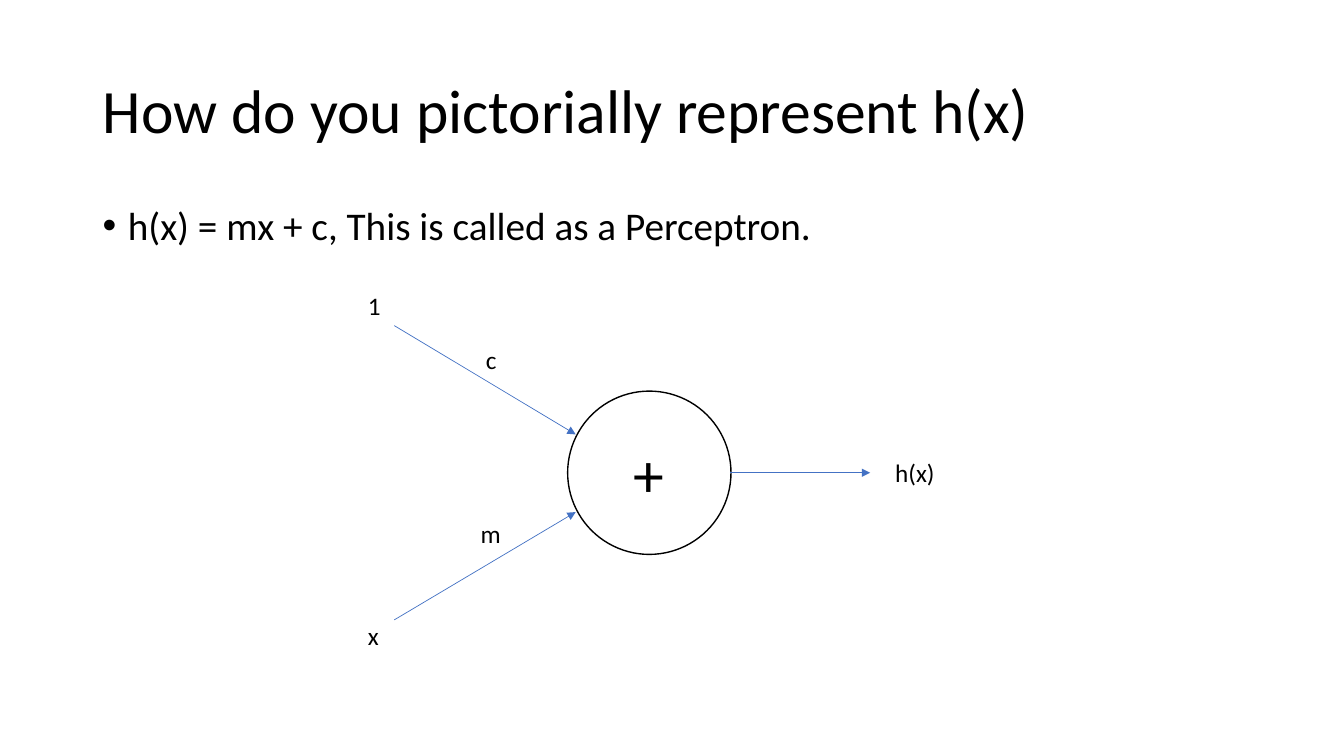
from lxml import etree
from pptx import Presentation
from pptx.dml.color import RGBColor
from pptx.enum.shapes import MSO_CONNECTOR, MSO_SHAPE
from pptx.enum.text import MSO_ANCHOR, MSO_AUTO_SIZE, PP_ALIGN
from pptx.oxml.ns import qn
from pptx.util import Inches, Pt

STRAIGHT = MSO_CONNECTOR.STRAIGHT
OVAL = MSO_SHAPE.OVAL
MIDDLE = MSO_ANCHOR.MIDDLE
TOP = MSO_ANCHOR.TOP
NO_AUTOFIT = MSO_AUTO_SIZE.NONE
LEFT = PP_ALIGN.LEFT
CENTER = PP_ALIGN.CENTER

FONT = "Calibri"
COLORS = {"ink": "000000", "paper": "FFFFFF", "arrow": "4472C4"}


def color(name):
    return RGBColor.from_string(COLORS[name])


class PerceptronSlide:
    def __init__(self, deck):
        self.slide = deck.slides.add_slide(deck.slide_layouts[5])
        self.shapes = self.slide.shapes

    def set_text(self, shape, text, size, anchor=TOP, align=LEFT, spacing=1.0):
        frame = shape.text_frame
        frame.word_wrap = True
        frame.auto_size = NO_AUTOFIT
        frame.vertical_anchor = anchor
        paragraph = frame.paragraphs[0]
        paragraph.text = text
        paragraph.alignment = align
        paragraph.line_spacing = spacing
        paragraph.font.name = FONT
        paragraph.font.size = Pt(size)
        paragraph.font.color.rgb = color("ink")

    def title(self, text, left, top, width, height):
        heading = self.shapes.title
        heading.left, heading.top = Inches(left), Inches(top)
        heading.width, heading.height = Inches(width), Inches(height)
        self.set_text(heading, text, 44, anchor=MIDDLE, spacing=0.9)

    def bullet(self, text, left, top, width, height):
        body = self.shapes.add_textbox(
            Inches(left), Inches(top), Inches(width), Inches(height))
        properties = body.text_frame.paragraphs[0]._p.get_or_add_pPr()
        properties.set("marL", str(Inches(0.25)))
        properties.set("indent", str(Inches(-0.25)))
        etree.SubElement(properties, qn("a:buFont"), typeface="Arial")
        etree.SubElement(properties, qn("a:buChar"), char="•")
        self.set_text(body, text, 28, spacing=0.9)

    def label(self, text, left, top, width=0.47):
        box = self.shapes.add_textbox(
            Inches(left), Inches(top), Inches(width), Inches(0.4))
        self.set_text(box, text, 18)

    def neuron(self, text, left, top, diameter):
        circle = self.shapes.add_shape(
            OVAL, Inches(left), Inches(top), Inches(diameter), Inches(diameter))
        circle.shadow.inherit = False
        circle.fill.solid()
        circle.fill.fore_color.rgb = color("paper")
        circle.line.color.rgb = color("ink")
        circle.line.width = Pt(1)
        self.set_text(circle, text, 44, anchor=MIDDLE, align=CENTER)

    def arrow(self, start, end):
        link = self.shapes.add_connector(
            STRAIGHT, *(Inches(value) for value in (*start, *end)))
        link.line.color.rgb = color("arrow")
        link.line.width = Pt(0.5)
        properties = link._element.spPr
        etree.SubElement(properties.find(qn("a:ln")), qn("a:tailEnd"), type="triangle")
        etree.SubElement(properties, qn("a:effectLst"))


def main():
    deck = Presentation()
    deck.slide_width, deck.slide_height = Inches(13.33), Inches(7.5)
    page = PerceptronSlide(deck)
    page.title("How do you pictorially represent h(x)", 0.92, 0.4, 11.5, 1.45)
    page.bullet("h(x) = mx + c, This is called as a Perceptron.", 0.92, 2, 11.5, 4.76)
    page.neuron("+", 5.63, 3.88, 1.62)

    page.arrow((3.91, 3.23), (5.71, 4.31))
    page.arrow((3.91, 6.15), (5.71, 5.08))
    page.arrow((7.24, 4.69), (8.63, 4.69))

    for text, left, top in (
        ("x", 3.55, 6.1),
        ("1", 3.55, 2.83),
        ("m", 4.67, 5.09),
        ("c", 4.72, 3.37),
    ):
        page.label(text, left, top)
    page.label("h(x)", 8.78, 4.49, width=0.62)

    deck.save("out.pptx")


if __name__ == "__main__":
    main()
